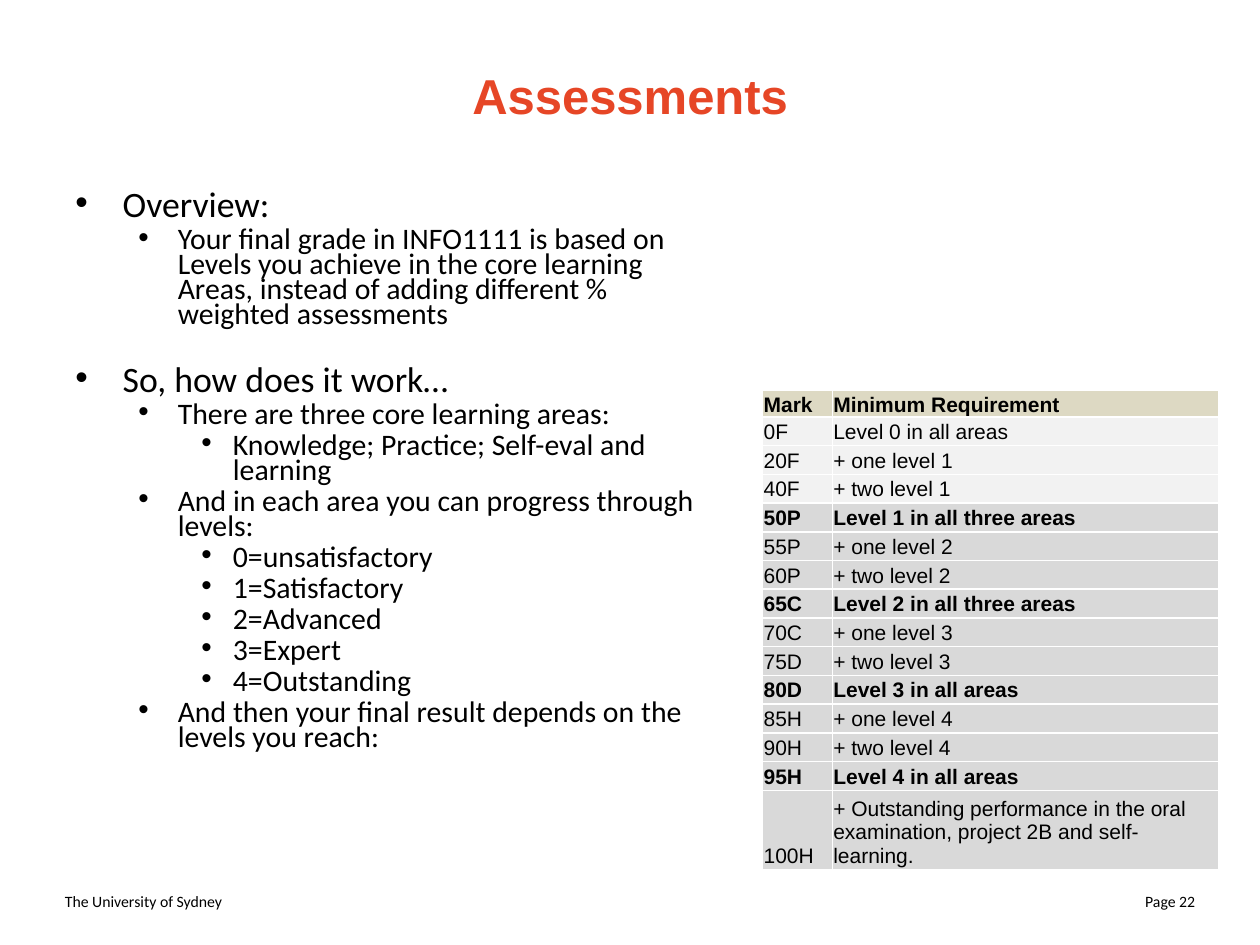
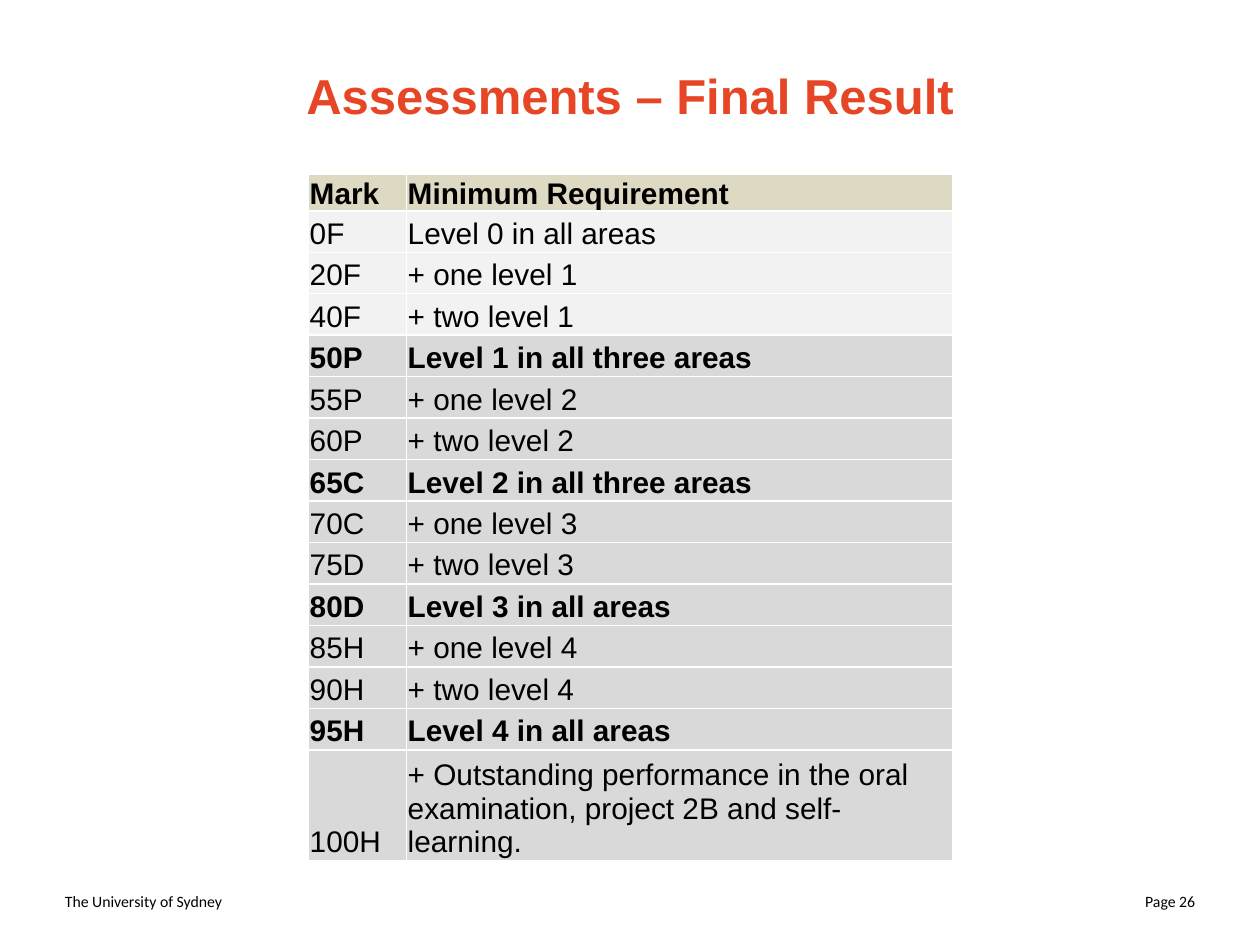
import pptx
import pptx.util
import pptx.dml.color
import pptx.enum.text
import pptx.oxml
import pptx.oxml.ns
import lxml.etree

Pt = pptx.util.Pt
ALIGN = pptx.enum.text.PP_ALIGN
ANCHOR = pptx.enum.text.MSO_ANCHOR

OVERVIEW = [
    (0, "Overview:"),
    (1, "Your final grade in INFO1111 is based on Levels you achieve in the core "
        "learning Areas, instead of adding different % weighted assessments"),
    (0, "So, how does it work…"),
    (1, "There are three core learning areas:"),
    (2, "Knowledge; Practice; Self-eval and learning"),
    (1, "And in each area you can progress through levels:"),
    (2, "0=unsatisfactory"),
    (2, "1=Satisfactory"),
    (2, "2=Advanced"),
    (2, "3=Expert"),
    (2, "4=Outstanding"),
    (1, "And then your final result depends on the levels you reach:"),
]

MARKS = [
    ("Mark", "Minimum Requirement"),
    ("0F", "Level 0 in all areas"),
    ("20F", "+ one level 1"),
    ("40F", "+ two level 1"),
    ("50P", "Level 1 in all three areas"),
    ("55P", "+ one level 2"),
    ("60P", "+ two level 2"),
    ("65C", "Level 2 in all three areas"),
    ("70C", "+ one level 3"),
    ("75D", "+ two level 3"),
    ("80D", "Level 3 in all areas"),
    ("85H", "+ one level 4"),
    ("90H", "+ two level 4"),
    ("95H", "Level 4 in all areas"),
    ("100H", "+ Outstanding performance in the oral examination, "
             "project 2B and self-learning."),
]
BOLD_MARKS = {"Mark", "50P", "65C", "80D", "95H"}


def color(hex_code):
    return pptx.dml.color.RGBColor.from_string(hex_code)


class Deck:
    BLACK, ORANGE, WHITE = "000000", "E64626", "FFFFFF"
    HEADER, FAIL, PASS = "DDD9C3", "F2F2F2", "D9D9D9"
    HEADING, BODY = "Arial", "Calibri"
    LEVELS = [(20.4, 27, -27), (17, 58.5, -22.5), (17, 90, -18)]
    SECTION_GAP = 22

    def __init__(self):
        self.prs = pptx.Presentation()
        self.prs.slide_width, self.prs.slide_height = Pt(720), Pt(540)
        self.slide = None

    def add_run(self, paragraph, text, size, font, hex_code=BLACK, bold=False):
        run = paragraph.add_run()
        run.text = text
        run.font.size, run.font.name, run.font.bold = Pt(size), font, bold
        run.font.color.rgb = color(hex_code)

    def new_slide(self, heading, page):
        self.slide = self.prs.slides.add_slide(self.prs.slide_layouts[5])
        self.slide.background.fill.solid()
        self.slide.background.fill.fore_color.rgb = color(self.WHITE)
        self.title(heading)
        self.footer("The University of Sydney", 30, ALIGN.LEFT)
        self.footer(f"Page {page}", 522, ALIGN.RIGHT)

    def title(self, heading):
        title = self.slide.shapes.title
        title.left, title.top, title.width, title.height = Pt(36), Pt(9.4), Pt(648), Pt(90)
        title.text_frame.vertical_anchor = ANCHOR.MIDDLE
        paragraph = title.text_frame.paragraphs[0]
        paragraph.alignment = ALIGN.CENTER
        self.add_run(paragraph, heading, 28, self.HEADING, self.ORANGE, True)

    def text_frame(self, left, top, width, height):
        frame = self.slide.shapes.add_textbox(Pt(left), Pt(top), Pt(width), Pt(height)).text_frame
        frame.word_wrap = True
        return frame

    def footer(self, text, left, alignment):
        frame = self.text_frame(left, 500.5, 168, 28.8)
        frame.vertical_anchor = ANCHOR.MIDDLE
        frame.paragraphs[0].alignment = alignment
        self.add_run(frame.paragraphs[0], text, 9, self.BODY)

    def bullets(self, items, left, top, width, height):
        frame = self.text_frame(left, top, width, height)
        for index, (level, text) in enumerate(items):
            paragraph = frame.add_paragraph() if index else frame.paragraphs[0]
            size, margin, indent = self.LEVELS[level]
            properties = paragraph._p.get_or_add_pPr()
            properties.set("marL", str(Pt(margin)))
            properties.set("indent", str(Pt(indent)))
            for tag, key, value in (("a:buFont", "typeface", "Arial"), ("a:buChar", "char", "•")):
                lxml.etree.SubElement(properties, pptx.oxml.ns.qn(tag)).set(key, value)
            paragraph.level = level
            paragraph.line_spacing = 0.7
            if index:
                paragraph.space_before = Pt(size * 0.2 if level else self.SECTION_GAP)
            self.add_run(paragraph, text, size, self.BODY)

    def cell_borders(self, cell):
        properties = cell._tc.get_or_add_tcPr()
        for position, side in enumerate(("lnL", "lnR", "lnT", "lnB")):
            properties.insert(position, pptx.oxml.parse_xml(
                f'<a:{side} {pptx.oxml.ns.nsdecls("a")} w="{Pt(1)}"><a:solidFill>'
                f'<a:srgbClr val="{self.WHITE}"/></a:solidFill></a:{side}>'))

    def marks_table(self, left, top, widths, header_height, row_height, last_height, size):
        heights = [header_height] + [row_height] * (len(MARKS) - 2) + [last_height]
        table = self.slide.shapes.add_table(
            len(MARKS), 2, Pt(left), Pt(top), Pt(sum(widths)), Pt(sum(heights))).table
        table.first_row = table.horz_banding = False
        for column, width in zip(table.columns, widths):
            column.width = Pt(width)
        for row, height, entry in zip(table.rows, heights, MARKS):
            row.height = Pt(height)
            mark = entry[0]
            is_header = mark == "Mark"
            fill = self.HEADER if is_header else self.FAIL if mark.endswith("F") else self.PASS
            for cell, text in zip(row.cells, entry):
                cell.margin_left = cell.margin_right = Pt(0.6)
                cell.margin_top = Pt(0.6 if is_header else 1)
                cell.margin_bottom = Pt(0 if is_header else 1)
                cell.vertical_anchor = ANCHOR.BOTTOM
                cell.fill.solid()
                cell.fill.fore_color.rgb = color(fill)
                self.cell_borders(cell)
                self.add_run(cell.text_frame.paragraphs[0], text, size,
                             self.HEADING, bold=mark in BOLD_MARKS)


def main():
    deck = Deck()
    deck.new_slide("Assessments", 22)
    deck.bullets(OVERVIEW, 36, 107.3, 373, 362)
    deck.marks_table(435.8, 223.2, (39.8, 220.8), 14.4, 15.84, 42.6, 12)
    deck.new_slide("Assessments – Final Result", 26)
    deck.marks_table(176.4, 99.4, (56, 311.8), 20.9, 23.7, 60, 17)
    deck.prs.save("out.pptx")


if __name__ == "__main__":
    main()
